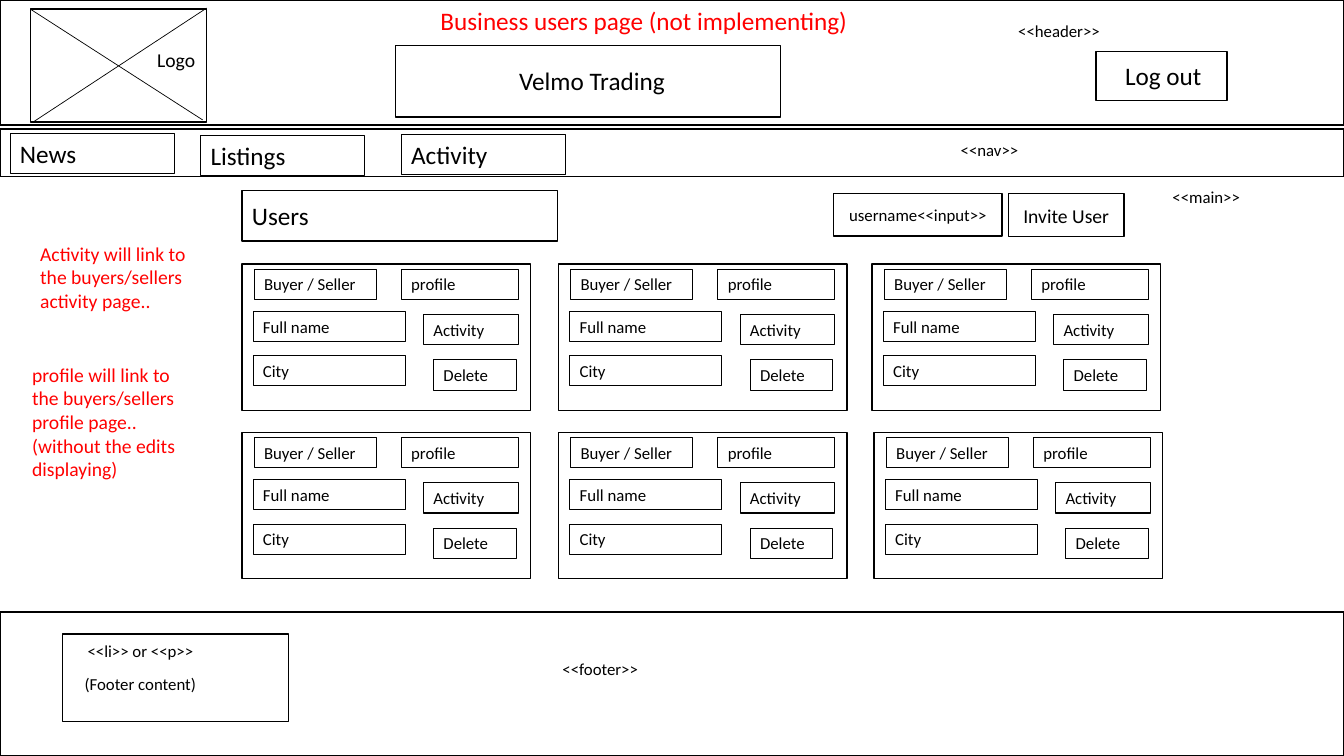
"""Build the wireframe slide of the business users page."""
from pptx import Presentation
from pptx.dml.color import RGBColor
from pptx.enum.shapes import MSO_CONNECTOR, MSO_SHAPE
from pptx.enum.text import MSO_ANCHOR, MSO_AUTO_SIZE, PP_ALIGN
from pptx.oxml.ns import qn
from pptx.util import Inches, Pt

BLACK = "000000"
RED = "FF0000"

deck = Presentation()
deck.slide_width = Inches(13.33)
deck.slide_height = Inches(7.5)
slide = deck.slides.add_slide(deck.slide_layouts[6])


def write(shape, text, size, color=BLACK, anchor=MSO_ANCHOR.TOP, align=PP_ALIGN.LEFT):
    frame = shape.text_frame
    frame.word_wrap = True
    frame.vertical_anchor = anchor
    if anchor == MSO_ANCHOR.TOP:
        frame.auto_size = MSO_AUTO_SIZE.SHAPE_TO_FIT_TEXT
    line = frame.paragraphs[0]
    line.text = text
    line.alignment = align
    line.font.name = "Calibri"
    line.font.size = Pt(size)
    line.font.color.rgb = RGBColor.from_string(color)


def frame_box(left, top, width, height, weight=1):
    box = slide.shapes.add_shape(
        MSO_SHAPE.RECTANGLE, Inches(left), Inches(top), Inches(width), Inches(height))
    box.shadow.inherit = False
    box.fill.background()
    box.line.color.rgb = RGBColor.from_string(BLACK)
    box.line.width = Pt(weight)
    return box


frames = [
    (0, 0, 13.33, 1.24),
    (0, 1.28, 13.33, 0.47),
    (0, 6.07, 13.33, 1.43),
    (0.3, 0.09, 1.75, 1.12),
    (3.92, 0.45, 3.82, 0.71),
    (10.87, 0.51, 1.3, 0.49),
    (0.62, 6.29, 2.24, 0.87),
]
for place in frames:
    frame_box(*place)

for x1, y1, x2, y2 in [(0.3, 0.09, 2.01, 1.19), (2.05, 0.08, 0.33, 1.21)]:
    cross = slide.shapes.add_connector(
        MSO_CONNECTOR.STRAIGHT, Inches(x1), Inches(y1), Inches(x2), Inches(y2))
    cross.line.color.rgb = RGBColor.from_string(BLACK)
    cross.line.width = Pt(0.5)
    props = cross._element.spPr
    props.append(props.makeelement(qn("a:effectLst"), {}))

labels = [
    ("Business users page (not implementing)", 4.27, 0, 4.31, 0.4, 18, RED),
    ("Logo", 1.46, 0.43, 0.65, 0.34, 14, BLACK),
    ("Velmo Trading", 5.05, 0.6, 1.89, 0.4, 18, BLACK),
    ("Log out", 11.06, 0.55, 1.19, 0.4, 18, BLACK),
    ("<<header>>", 10, 0.16, 1.75, 0.3, 12, BLACK),
    ("<<nav>>", 9.43, 1.34, 1.75, 0.3, 12, BLACK),
    ("<<main>>", 11.53, 1.8, 0.89, 0.3, 12, BLACK),
    ("<<footer>>", 5.48, 6.49, 1.59, 0.3, 12, BLACK),
    ("<<li>> or <<p>>", 0.77, 6.31, 1.49, 0.3, 12, BLACK),
    ("(Footer content)", 0.74, 6.63, 1.49, 0.3, 12, BLACK),
    ("Activity will link to the buyers/sellers activity page..",
     0.3, 2.35, 1.67, 0.81, 14, RED),
    ("profile will link to the buyers/sellers profile page.. (without the edits displaying)",
     0.22, 3.55, 1.67, 1.28, 14, RED),
]
for text, left, top, width, height, size, color in labels:
    label = slide.shapes.add_textbox(
        Inches(left), Inches(top), Inches(width), Inches(height))
    write(label, text, size, color)

for text, left, top in [("News", 0.1, 1.32), ("Listings", 1.99, 1.34), ("Activity", 3.98, 1.33)]:
    write(frame_box(left, top, 1.63, 0.4, 0.75), text, 18)

controls = [
    ("Users", 2.4, 1.89, 3.13, 0.5, 18, PP_ALIGN.LEFT),
    ("username<<input>>", 8.27, 1.92, 1.67, 0.42, 12, PP_ALIGN.CENTER),
    ("Invite User", 10, 1.92, 1.15, 0.43, 14, PP_ALIGN.CENTER),
]
for text, left, top, width, height, size, align in controls:
    write(frame_box(left, top, width, height), text, size,
          anchor=MSO_ANCHOR.MIDDLE, align=align)

fields = [
    ("Buyer / Seller", 0.12, 0.05, 1.21),
    ("profile", 1.58, 0.05, 1.16),
    ("Full name", 0.11, 0.47, 1.51),
    ("Activity", 1.8, 0.5, 0.94),
    ("City", 0.11, 0.91, 1.51),
    ("Delete", 1.9, 0.95, 0.82),
]
for top, lefts in [(2.62, (2.4, 5.54, 8.65)), (4.29, (2.4, 5.54, 8.67))]:
    for left in lefts:
        frame_box(left, top, 2.86, 1.45)
        for text, across, down, width in fields:
            write(frame_box(left + across, top + down, width, 0.3, 0.75), text, 12)

deck.save("out.pptx")
